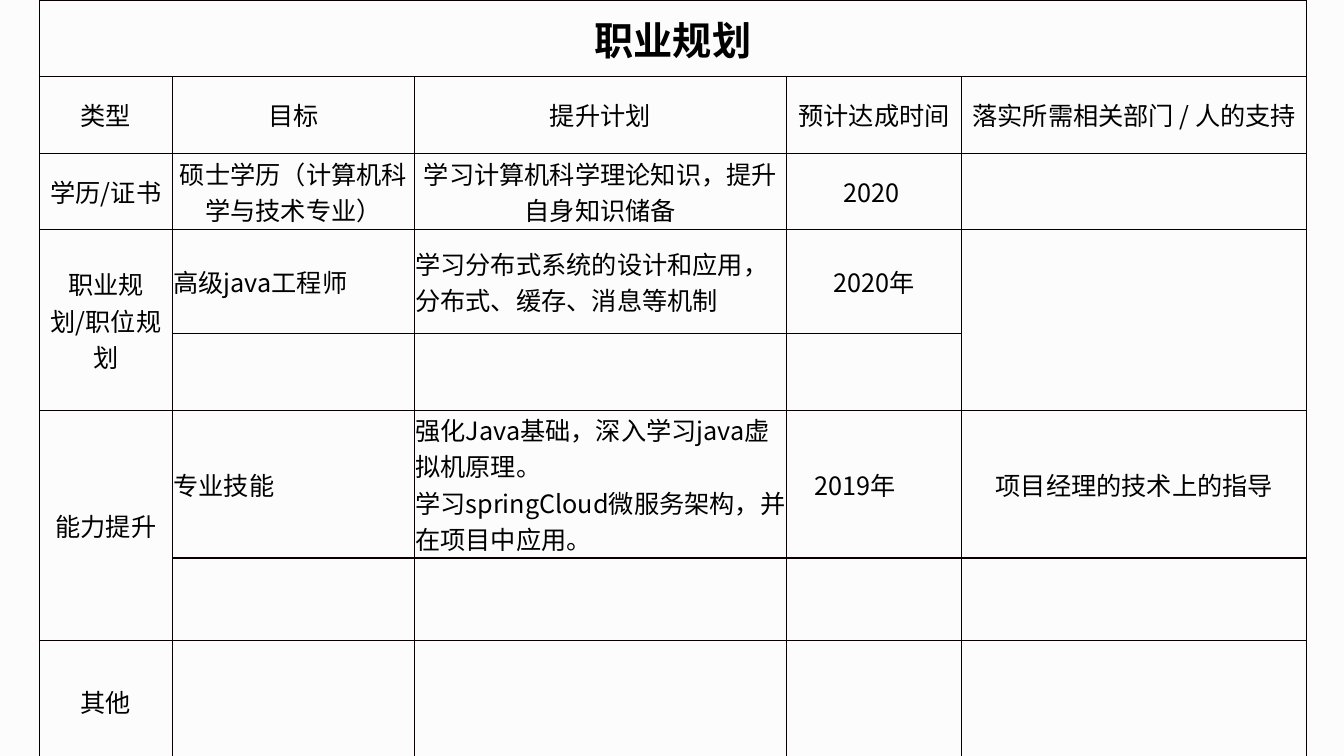
from lxml.etree import SubElement
from pptx import Presentation
from pptx.dml.color import RGBColor
from pptx.enum.text import MSO_ANCHOR, PP_ALIGN
from pptx.oxml import parse_xml
from pptx.oxml.ns import nsdecls, qn
from pptx.util import Inches, Pt

FONT = "Noto Sans CJK SC"
COLS = [1.32, 2.4, 3.69, 1.74, 3.42]
ROWS = [0.76, 0.76, 0.76, 1.03, 0.76, 1.19, 0.82, 1.21]
TEXTS = [
    ["职业规划", "", "", "", ""],
    ["类型", "目标", "提升计划", "预计达成时间", "落实所需相关部门 / 人的支持"],
    ["学历/证书", "硕士学历（计算机科学与技术专业）",
     "学习计算机科学理论知识，提升自身知识储备", "2020 ", ""],
    ["职业规划/职位规划", "高级java工程师",
     "学习分布式系统的设计和应用，分布式、缓存、消息等机制", "2020年", ""],
    ["", "", "", "", ""],
    ["能力提升", "专业技能",
     "强化Java基础，深入学习java虚拟机原理。\n学习springCloud微服务架构，并在项目中应用。",
     "2019年", "项目经理的技术上的指导"],
    ["", "", "", "", ""],
    ["其他", "", "", "", ""],
]
MERGES = [(0, 0, 0, 4), (3, 0, 4, 0), (3, 4, 4, 4), (5, 0, 6, 0)]
LEFT_CELLS = [(3, 1), (3, 2), (5, 1), (5, 2), (5, 3)]


def rgb(value):
    return RGBColor.from_string(value)


def add_borders(cell, color, width):
    tcPr = cell._tc.get_or_add_tcPr()
    for i, side in enumerate(["lnL", "lnR", "lnT", "lnB"]):
        tcPr.insert(i, parse_xml(
            f'<a:{side} {nsdecls("a")} w="{Pt(width)}"><a:solidFill>'
            f'<a:srgbClr val="{color}"/></a:solidFill></a:{side}>'))


prs = Presentation()
prs.slide_width = Inches(13.33)
prs.slide_height = Inches(7.5)
s = prs.slides.add_slide(prs.slide_layouts[6])
s.background.fill.solid()
s.background.fill.fore_color.rgb = rgb("FCFCFC")

table = s.shapes.add_table(len(ROWS), len(COLS), Inches(0.39), Inches(0),
                           Inches(sum(COLS)), Inches(sum(ROWS))).table
table.first_row = False
table.horz_banding = False
for column, width in zip(table.columns, COLS):
    column.width = Inches(width)
for row, height in zip(table.rows, ROWS):
    row.height = Inches(height)

for i, texts in enumerate(TEXTS):
    for j, text in enumerate(texts):
        cell = table.cell(i, j)
        cell.fill.background()
        add_borders(cell, "080000", 1)
        cell.vertical_anchor = MSO_ANCHOR.MIDDLE
        cell.margin_left = cell.margin_right = Inches(0.01)
        cell.margin_top = cell.margin_bottom = Inches(0.01)
        cell.text_frame.text = text
        for p in cell.text_frame.paragraphs:
            p.alignment = PP_ALIGN.LEFT if (i, j) in LEFT_CELLS else PP_ALIGN.CENTER
            for r in p.runs:
                r.font.size = Pt(28 if i == 0 else 18)
                r.font.bold = i == 0
                r.font.color.rgb = rgb("000000")
                r.font.name = FONT
                SubElement(r.font._element, qn("a:ea")).set("typeface", FONT)

table.cell(5, 3).margin_left = Inches(0.28)
for top, left, bottom, right in MERGES:
    table.cell(top, left).merge(table.cell(bottom, right))

prs.save("out.pptx")
